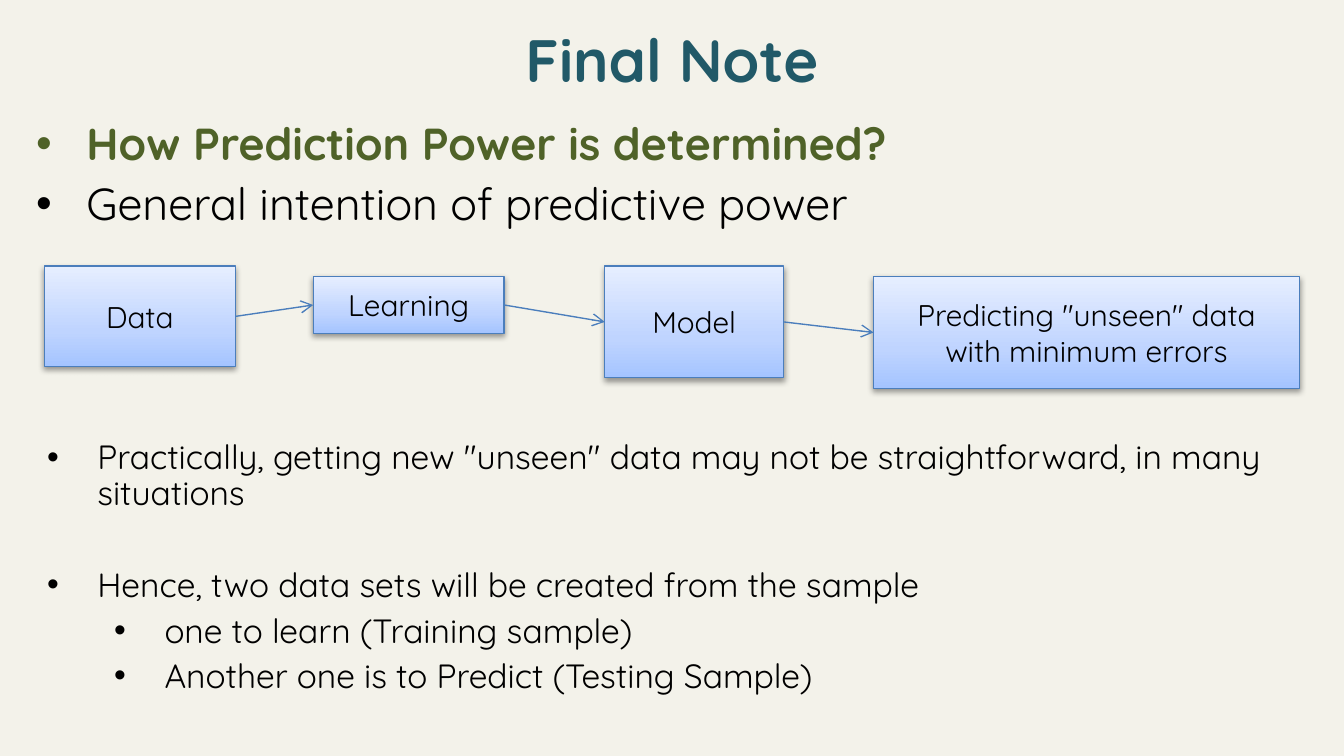
"""Build the Final Note slide about predictive power."""
from lxml import etree
from pptx import Presentation
from pptx.dml.color import RGBColor
from pptx.enum.shapes import MSO_CONNECTOR, MSO_SHAPE
from pptx.enum.text import MSO_ANCHOR, MSO_AUTO_SIZE, PP_ALIGN
from pptx.oxml import parse_xml
from pptx.oxml.ns import nsdecls, qn
from pptx.util import Cm, Pt

FONT = "Quicksand"
BLACK, GREEN, TEAL, BLUE = "000000", "4F6228", "215968", "4B7EBC"
GRADIENT = [(0, "A4C4FF"), (35, "BFD4FF"), (100, "E6EEFF")]
INDENT, LEVEL_STEP = 0.95, 1.27
LEFT_SITE, RIGHT_SITE = 1, 3


def paint(color_format, color):
    color_format.rgb = RGBColor.from_string(color)


def write(paragraph, text, size, color=BLACK, bold=False):
    run = paragraph.add_run()
    run.text = text
    run.font.name, run.font.size, run.font.bold = FONT, Pt(size), bold
    paint(run.font.color, color)


def place(shape, box):
    shape.left, shape.top, shape.width, shape.height = map(Cm, box)


def add_title(slide, text, box):
    title = slide.shapes.title
    place(title, box)
    frame = title.text_frame
    frame.auto_size = MSO_AUTO_SIZE.NONE
    frame.vertical_anchor = MSO_ANCHOR.MIDDLE
    frame.paragraphs[0].alignment = PP_ALIGN.CENTER
    write(frame.paragraphs[0], text, 32, TEAL, True)


def bullet(paragraph, level):
    paragraph.level = level
    properties = paragraph._p.get_or_add_pPr()
    properties.set("marL", str(Cm(INDENT + level * LEVEL_STEP)))
    properties.set("indent", str(-Cm(INDENT)))
    etree.SubElement(properties, qn("a:buFont"), typeface="Arial")
    etree.SubElement(properties, qn("a:buChar"), char="•")


def fill_list(shape, items, size, line_spacing=1.0):
    """Write (text, level, color, bold) items as bulleted paragraphs."""
    frame = shape.text_frame
    frame.word_wrap = True
    frame.auto_size = MSO_AUTO_SIZE.NONE
    for index, (text, level, color, bold) in enumerate(items):
        paragraph = frame.add_paragraph() if index else frame.paragraphs[0]
        paragraph.line_spacing = line_spacing
        paragraph.space_before = Pt(0.15 * size)
        bullet(paragraph, level)
        write(paragraph, text, size, color, bold)


def add_list(slide, box, items, line_spacing=1.0):
    shape = slide.shapes.add_textbox(*map(Cm, box))
    plain = [(text, level, BLACK, False) for text, level in items]
    fill_list(shape, plain, 18, line_spacing)


def add_step(slide, text, box):
    step = slide.shapes.add_shape(MSO_SHAPE.RECTANGLE, *map(Cm, box))
    stops = "".join(
        f'<a:gs pos="{position * 1000}"><a:srgbClr val="{color}"/></a:gs>'
        for position, color in GRADIENT)
    step._element.spPr.insert(2, parse_xml(
        f'<a:gradFill {nsdecls("a")} rotWithShape="1"><a:gsLst>{stops}</a:gsLst>'
        '<a:lin ang="16200000" scaled="0"/></a:gradFill>'))
    paint(step.line.color, BLUE)
    step.line.width = Pt(0.75)
    step.shadow.inherit = False
    step._element.spPr.find(qn("a:effectLst")).append(parse_xml(
        f'<a:outerShdw {nsdecls("a")} blurRad="40000" dist="20000" dir="5400000" '
        'rotWithShape="0"><a:srgbClr val="000000"><a:alpha val="38000"/>'
        '</a:srgbClr></a:outerShdw>'))
    frame = step.text_frame
    frame.word_wrap = True
    frame.vertical_anchor = MSO_ANCHOR.MIDDLE
    frame.paragraphs[0].alignment = PP_ALIGN.CENTER
    write(frame.paragraphs[0], text, 16)
    return step


def add_arrow(slide, source, target):
    arrow = slide.shapes.add_connector(MSO_CONNECTOR.STRAIGHT, 0, 0, 0, 0)
    arrow.begin_connect(source, RIGHT_SITE)
    arrow.end_connect(target, LEFT_SITE)
    paint(arrow.line.color, BLUE)
    arrow.line.width = Pt(0.75)
    etree.SubElement(arrow.line._get_or_add_ln(), qn("a:tailEnd"), type="arrow")
    etree.SubElement(arrow._element.spPr, qn("a:effectLst"))


def main():
    deck = Presentation()
    deck.slide_width, deck.slide_height = Cm(25.4), Cm(14.29)
    slide = deck.slides.add_slide(deck.slide_layouts[1])
    slide.background.fill.solid()
    paint(slide.background.fill.fore_color, "F3F2EA")

    add_title(slide, "Final Note", (1.27, 0.15, 22.86, 1.9))
    body = slide.placeholders[1]
    place(body, (0.43, 2.06, 24.33, 2.34))
    fill_list(body, [
        ("How Prediction Power is determined?", 0, GREEN, True),
        ("General intention of predictive power", 0, BLACK, False),
    ], 24)

    steps = [add_step(slide, text, box) for text, box in [
        ("Data", (0.84, 5.03, 3.61, 1.9)),
        ("Learning", (5.92, 5.23, 3.61, 1.07)),
        ("Model", (11.43, 5.03, 3.38, 2.11)),
        ('Predicting "unseen" data with minimum errors', (16.51, 5.23, 8.05, 2.11)),
    ]]
    for source, target in zip(steps, steps[1:]):
        add_arrow(slide, source, target)

    add_list(slide, (0.64, 8.2, 24.33, 1.7), [
        ('Practically, getting new "unseen" data may not be straightforward, '
         'in many situations', 0),
    ], 0.9)
    add_list(slide, (0.64, 10.54, 24.33, 2.97), [
        ("Hence, two data sets will be created from the sample", 0),
        ("one to learn (Training sample)", 1),
        ("Another one is to Predict (Testing Sample)", 1),
    ])
    deck.save("out.pptx")


main()
